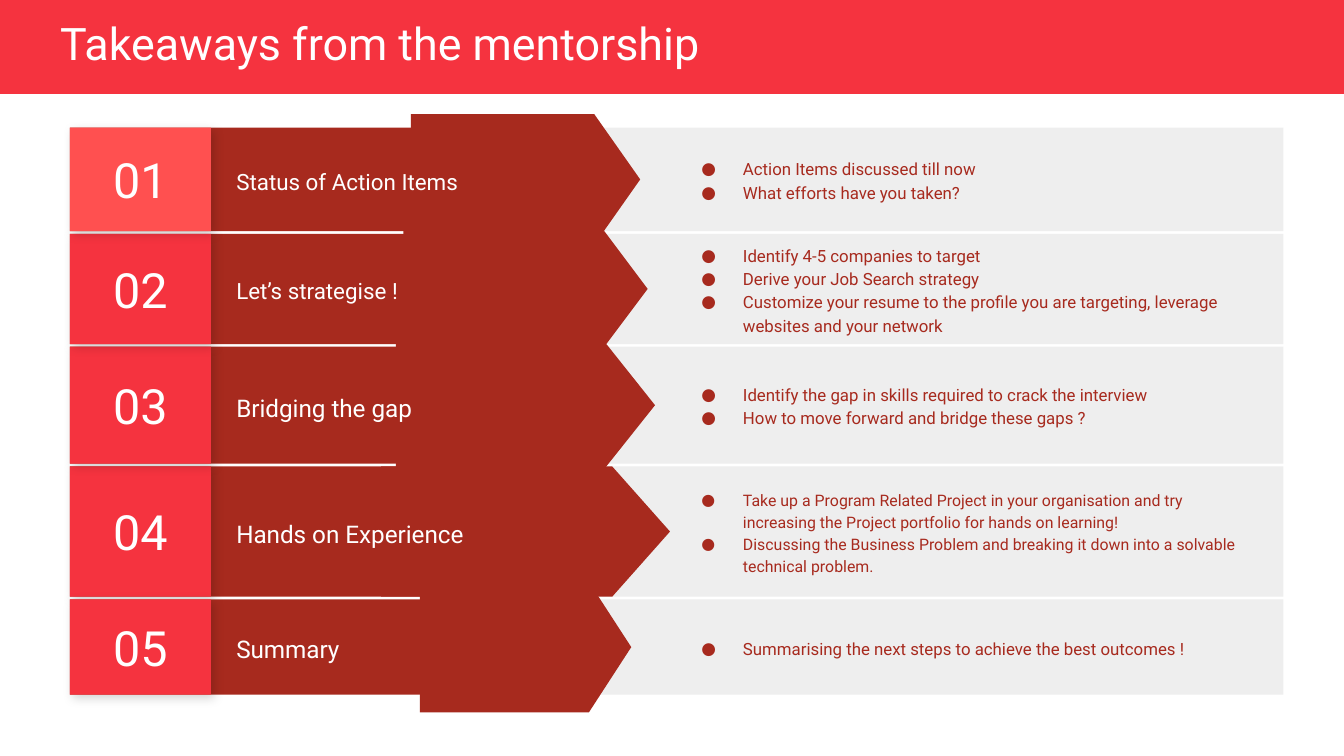
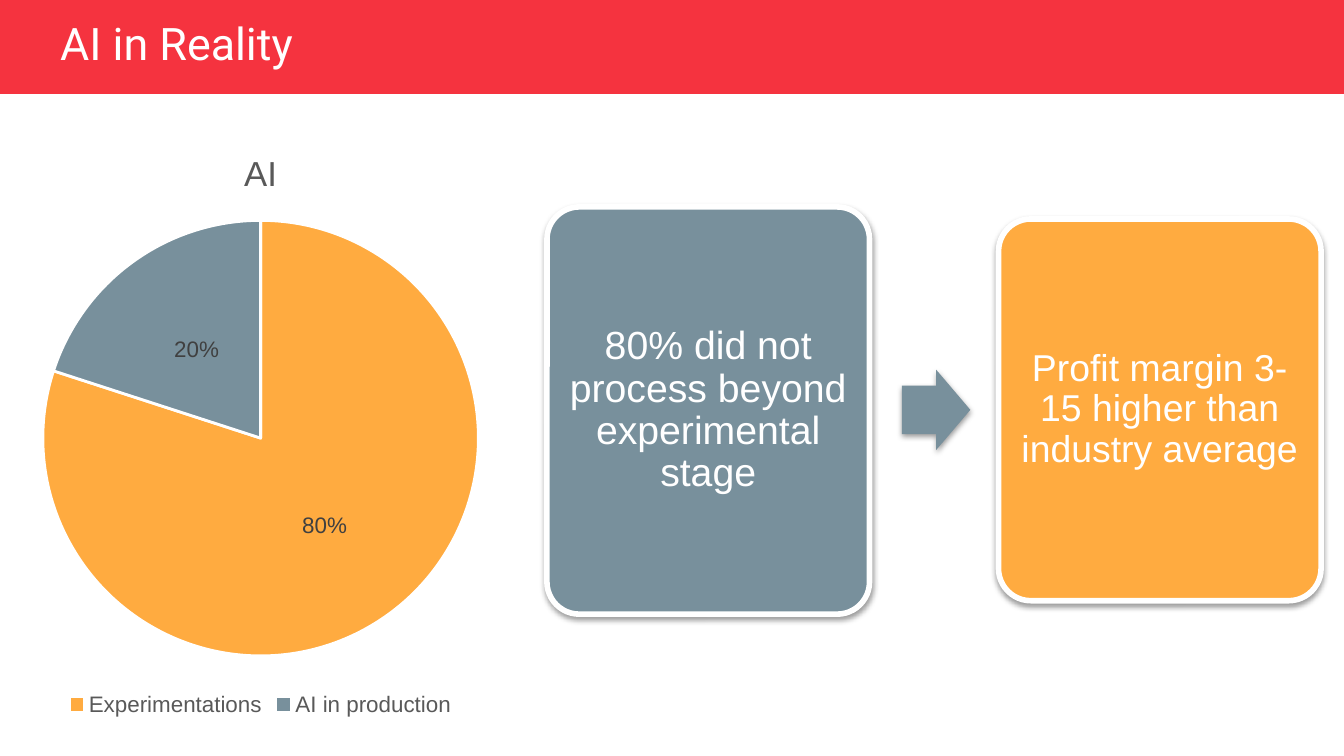
"""Builds two slides: the mentorship takeaways and the state of AI in practice."""
from lxml import etree
from pptx import Presentation
from pptx.chart.data import CategoryChartData
from pptx.dml.color import RGBColor
from pptx.enum.chart import XL_CHART_TYPE, XL_LABEL_POSITION, XL_LEGEND_POSITION
from pptx.enum.shapes import MSO_SHAPE
from pptx.enum.text import MSO_ANCHOR, PP_ALIGN
from pptx.oxml import parse_xml
from pptx.oxml.ns import nsdecls, qn
from pptx.util import Inches, Pt

RECTANGLE = MSO_SHAPE.RECTANGLE
ROUNDED = MSO_SHAPE.ROUNDED_RECTANGLE
RIGHT_ARROW = MSO_SHAPE.RIGHT_ARROW
POINTER = MSO_SHAPE.FLOWCHART_OFFPAGE_CONNECTOR
MIDDLE = MSO_ANCHOR.MIDDLE
LEFT, CENTER = PP_ALIGN.LEFT, PP_ALIGN.CENTER

RED = RGBColor(0xF5, 0x33, 0x3F)
CORAL = RGBColor(0xFF, 0x50, 0x50)
BRICK = RGBColor(0xA7, 0x2A, 0x1E)
RUST = RGBColor(0xB0, 0x2C, 0x20)
PALE = RGBColor(0xEE, 0xEE, 0xEE)
WHITE = RGBColor(0xFF, 0xFF, 0xFF)
ORANGE = RGBColor(0xFF, 0xAB, 0x40)
SLATE = RGBColor(0x78, 0x90, 0x9C)
GRAY = RGBColor(0x59, 0x59, 0x59)
DARK = RGBColor(0x40, 0x40, 0x40)

deck = Presentation()
deck.slide_width, deck.slide_height = Inches(10), Inches(5.625)
CELL = deck.slide_width // 100
TILE_SHADOW = (17, 5.6, 2.2, 45)
CARD_SHADOW = (38, 3.1, 1.6, 90)


def add_panel(page, kind, cells, fill=None, shadow=None):
    """Add a shape, or a text box when kind is None, placed in grid cells."""
    place = [round(cell * CELL) for cell in cells]
    if kind is None:
        return page.shapes.add_textbox(*place)
    panel = page.shapes.add_shape(kind, *place)
    panel.fill.solid()
    panel.fill.fore_color.rgb = fill
    panel.line.fill.background()
    panel.shadow.inherit = False
    if shadow:
        alpha, blur, distance, angle = shadow
        panel.element.spPr.find(qn("a:effectLst")).append(parse_xml(
            f'<a:outerShdw {nsdecls("a")} blurRad="{Pt(blur)}" dist="{Pt(distance)}" '
            f'dir="{angle * 60000}" algn="bl" rotWithShape="0"><a:srgbClr val="000000">'
            f'<a:alpha val="{alpha * 1000}"/></a:srgbClr></a:outerShdw>'))
    return panel


def write(panel, lines, size, color=WHITE, font="Roboto", align=LEFT, spacing=1.0,
          inset=(1, 0.5), bulleted=False):
    """Fill a panel with one paragraph per line."""
    frame = panel.text_frame
    frame.word_wrap = True
    frame.vertical_anchor = MIDDLE
    frame.margin_left = frame.margin_right = round(inset[0] * CELL)
    frame.margin_top = frame.margin_bottom = round(inset[1] * CELL)
    for number, line in enumerate(lines):
        para = frame.add_paragraph() if number else frame.paragraphs[0]
        if bulleted:
            properties = para._p.get_or_add_pPr()
            properties.set("marL", str(Inches(0.5)))
            properties.set("indent", str(-Inches(0.31)))
            bullet_color = etree.SubElement(properties, qn("a:buClr"))
            etree.SubElement(bullet_color, qn("a:srgbClr")).set("val", str(color))
            etree.SubElement(properties, qn("a:buFont")).set("typeface", font)
            etree.SubElement(properties, qn("a:buChar")).set("char", "●")
        para.alignment = align
        para.line_spacing = spacing
        span = para.add_run()
        span.text = line
        span.font.name = font
        span.font.size = Pt(size)
        span.font.color.rgb = color


pages = []
for title in ("Takeaways from the mentorship", "AI in Reality"):
    page = deck.slides.add_slide(deck.slide_layouts[6])
    add_panel(page, RECTANGLE, (0, 0, 100, 7), RED)
    write(add_panel(page, None, (3.5, 1.3, 93, 4.2)), [title], 24, spacing=0.9)
    pages.append(page)
takeaways, reality = pages

steps = [
    (7.7, CORAL, "Status of Action Items", 12, 9,
     ["Action Items discussed till now", "What efforts have you taken?"]),
    (8.2, RED, "Let’s strategise !", 12, 9,
     ["Identify 4-5 companies to target", "Derive your Job Search strategy",
      "Customize your resume to the profile you are targeting, leverage "
      "websites and your network"]),
    (8.7, RED, "Bridging the gap", 13, 9,
     ["Identify the gap in skills required to crack the interview",
      "How to move forward and bridge these gaps ?"]),
    (9.7, RED, "Hands on Experience", 13, 8.5,
     ["Take up a Program Related Project in your organisation and try "
      "increasing the Project portfolio for hands on learning!",
      "Discussing the Business Problem and breaking it down into a solvable "
      "technical problem."]),
    (7.1, RED, "Summary", 13, 9,
     ["Summarising the next steps to achieve the best outcomes !"]),
]
FIRST_TOP, GAP = 9.5, 0.2
POINTER_CENTER, POINTER_BREADTH = 39.1, 9.7

for index in (3, 2, 1, 0, 4):
    height, tile_color, label, label_size, detail_size, details = steps[index]
    top = FIRST_TOP + sum(step[0] + GAP for step in steps[:index])
    add_panel(takeaways, RECTANGLE, (37.6, top, 57.9, height), PALE)
    add_panel(takeaways, RECTANGLE, (15.7, top, 27.9, height), BRICK)
    reach = 21.5 * height / POINTER_BREADTH
    pointer = add_panel(takeaways, POINTER,
                        (POINTER_CENTER - POINTER_BREADTH / 2, top + height / 2 - reach / 2,
                         POINTER_BREADTH, reach), BRICK)
    pointer.rotation = 270
    write(add_panel(takeaways, None, (16.6, top, 29.4, height)), [label], label_size,
          spacing=1.15)
    tile = (5.2, top, 10.5, height)
    add_panel(takeaways, RECTANGLE, tile, RUST, TILE_SHADOW)
    write(add_panel(takeaways, RECTANGLE, tile, tile_color), [f"{index + 1:02}"], 26,
          align=CENTER)
    write(add_panel(takeaways, None, (49.3, top, 45, height)), details, detail_size, BRICK,
          spacing=1.15, inset=(1, 0), bulleted=True)

shares = CategoryChartData(number_format="0")
shares.categories = ["Experimentations", "AI in production"]
shares.add_series("AI", (80, 20))
chart_place = [round(cell * CELL) for cell in (-0.9, 9.3, 40.6, 44.4)]
chart = reality.shapes.add_chart(XL_CHART_TYPE.PIE, *chart_place, shares).chart
chart.font.name = "Arial"
chart.font.size = Pt(10)
chart.has_title = True
span = chart.chart_title.text_frame.paragraphs[0].add_run()
span.text = "AI"
span.font.name = "Arial"
span.font.size = Pt(18.6)
span.font.bold = False
span.font.color.rgb = GRAY
chart.has_legend = True
chart.legend.position = XL_LEGEND_POSITION.BOTTOM
chart.legend.include_in_layout = False
chart.legend.font.name = "Arial"
chart.legend.font.size = Pt(12)
chart.legend.font.color.rgb = GRAY

pie = chart.plots[0]
pie.vary_by_categories = True
for number, color in enumerate((ORANGE, SLATE)):
    wedge = pie.series[0].points[number].format
    wedge.fill.solid()
    wedge.fill.fore_color.rgb = color
    wedge.line.color.rgb = WHITE
    wedge.line.width = Pt(1.5)
pie.has_data_labels = True
labels = pie.data_labels
labels.show_percentage = True
labels.show_value = False
labels.number_format = "0%"
labels.number_format_is_linked = False
labels.position = XL_LABEL_POSITION.CENTER
labels.font.name = "Arial"
labels.font.size = Pt(12)
labels.font.color.rgb = DARK

plot_area = chart.element.find(".//" + qn("c:plotArea"))
for layout in plot_area.findall(qn("c:layout")):
    plot_area.remove(layout)
plot_area.insert(0, parse_xml(
    f'<c:layout {nsdecls("c")}><c:manualLayout><c:layoutTarget val="inner"/>'
    '<c:xMode val="edge"/><c:yMode val="edge"/><c:x val="0.1"/><c:y val="0.16"/>'
    '<c:w val="0.8"/><c:h val="0.73"/></c:manualLayout></c:layout>'))

cards = [
    ((40.7, 15.4, 24, 30.3), SLATE, "80% did not process beyond experimental stage", 21),
    ((74.3, 16.3, 24, 28.4), ORANGE, "Profit margin 3-15 higher than industry average", 20),
]
for cells, color, message, size in cards:
    card = add_panel(reality, ROUNDED, cells, color, CARD_SHADOW)
    card.adjustments[0] = 0.1
    card.line.color.rgb = WHITE
    card.line.width = Pt(3)
    write(card, [message], size, font="Arial", align=CENTER, spacing=0.9, inset=(0.9, 0.9))
arrow = add_panel(reality, RIGHT_ARROW, (67.1, 27.5, 5.1, 6), SLATE, CARD_SHADOW)
arrow.adjustments[0] = 0.6
arrow.adjustments[1] = 0.5

deck.save("out.pptx")
